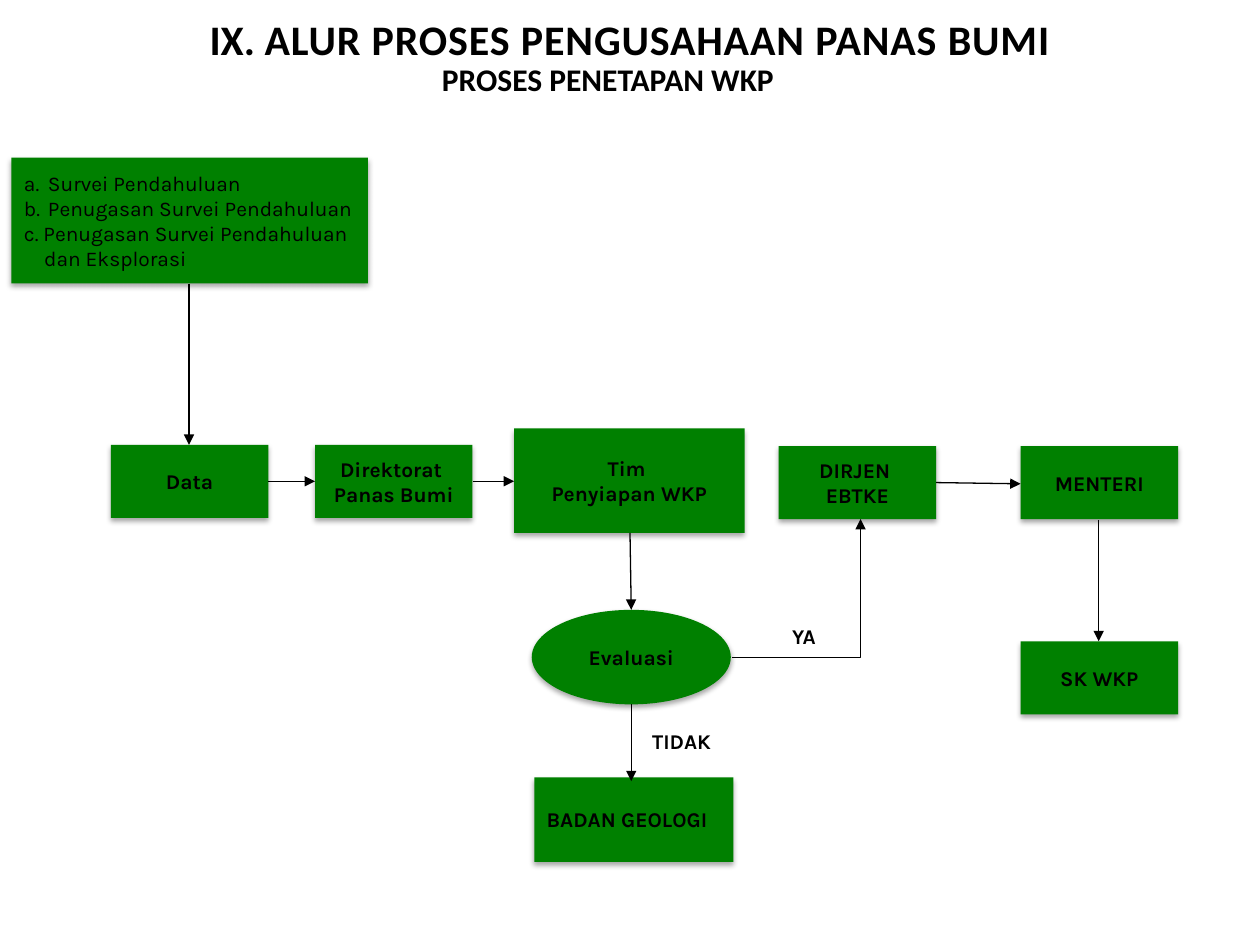
from lxml.etree import SubElement
from pptx import Presentation
from pptx.dml.color import RGBColor
from pptx.enum.shapes import MSO_CONNECTOR, MSO_SHAPE
from pptx.enum.text import MSO_ANCHOR, MSO_AUTO_SIZE, PP_ALIGN
from pptx.oxml.ns import qn
from pptx.util import Inches, Pt


def color(hex_value):
    return RGBColor.from_string(hex_value)


def set_all(target, values):
    for attribute, value in values.items():
        setattr(target, attribute, value)


class FlowSlide:
    GREEN, BLACK = "008000", "000000"
    HEADING = {"name": "Calibri", "bold": True}
    LABEL = {"name": "Karla", "size": Pt(12), "bold": True}
    LIST = {"name": "Karla", "size": Pt(12), "bold": False}
    MARGINS = {"margin_left": Inches(0.1), "margin_right": Inches(0.1),
               "margin_top": Inches(0.05), "margin_bottom": Inches(0.05)}
    SPACING = {"space_before": Pt(0), "space_after": Pt(0), "line_spacing": 1.0}

    def __init__(self, slide):
        self.slide = slide

    def place(self, shape, left, top, width, height):
        set_all(shape, {"left": Inches(left), "top": Inches(top),
                        "width": Inches(width), "height": Inches(height)})

    def fill_text(self, shape, lines, font, align=PP_ALIGN.CENTER,
                  anchor=MSO_ANCHOR.MIDDLE, wrap=True):
        frame = shape.text_frame
        frame.text = "\n".join(lines)
        set_all(frame, {**self.MARGINS, "word_wrap": wrap, "vertical_anchor": anchor,
                        "auto_size": MSO_AUTO_SIZE.NONE})
        for paragraph in frame.paragraphs:
            set_all(paragraph, {**self.SPACING, "alignment": align})
            for run in paragraph.runs:
                set_all(run.font, font)
                run.font.color.rgb = color(self.BLACK)

    def paint(self, shape):
        """Fill green, without outline, over a soft shadow straight below."""
        shape.fill.solid()
        shape.fill.fore_color.rgb = color(self.GREEN)
        shape.line.fill.background()
        shape.shadow.inherit = False
        effects = shape._element.spPr.find(qn("a:effectLst"))
        shadow = SubElement(effects, qn("a:outerShdw"), blurRad=str(Pt(3.1)),
                            dist=str(Pt(1.8)), dir="5400000", rotWithShape="0")
        tint = SubElement(shadow, qn("a:srgbClr"), val=self.BLACK)
        SubElement(tint, qn("a:alpha"), val="35000")

    def title(self, number, text, box):
        heading = self.slide.shapes.title
        font = {**self.HEADING, "size": Pt(24)}
        self.place(heading, *box)
        self.fill_text(heading, [number], font, anchor=MSO_ANCHOR.TOP)
        spaced = heading.text_frame.paragraphs[0].add_run()
        spaced.text = text
        set_all(spaced.font, font)
        spaced.font.color.rgb = color(self.BLACK)
        spaced._r.get_or_add_rPr().set("spc", "50")

    def text(self, lines, box, font=LABEL, **layout):
        label = self.slide.shapes.add_textbox(*map(Inches, box))
        self.fill_text(label, lines, font, **layout)

    def step(self, lines, box, kind=MSO_SHAPE.RECTANGLE, **layout):
        node = self.slide.shapes.add_shape(kind, *map(Inches, box))
        self.paint(node)
        self.fill_text(node, lines, self.LABEL, **layout)

    def sources(self, items, box):
        """Items are (text, left margin, first-line indent, lettered or not)."""
        body = self.slide.placeholders[1]
        self.place(body, *box)
        self.paint(body)
        self.fill_text(body, [item[0] for item in items], self.LIST, PP_ALIGN.LEFT)
        for paragraph, (_, margin, indent, lettered) in zip(body.text_frame.paragraphs, items):
            properties = paragraph._p.get_or_add_pPr()
            properties.set("marL", str(Inches(margin)))
            properties.set("indent", str(Inches(indent)))
            if lettered:
                SubElement(properties, qn("a:buFont"), typeface="+mj-lt")
                SubElement(properties, qn("a:buAutoNum"), type="alphaLcPeriod")
            else:
                SubElement(properties, qn("a:buNone"))

    def arrow(self, start, end, bent=False):
        kind = MSO_CONNECTOR.ELBOW if bent else MSO_CONNECTOR.STRAIGHT
        link = self.slide.shapes.add_connector(kind, *map(Inches, (*start, *end)))
        link.line.color.rgb = color(self.BLACK)
        link.line.width = Pt(0.75)
        properties = link._element.spPr
        if bent:
            properties.find(qn("a:prstGeom")).set("prst", "bentConnector2")
        SubElement(properties.find(qn("a:ln")), qn("a:tailEnd"), type="triangle")
        SubElement(properties, qn("a:effectLst"))


def main():
    deck = Presentation()
    deck.slide_width, deck.slide_height = Inches(10), Inches(7.5)
    flow = FlowSlide(deck.slides.add_slide(deck.slide_layouts[1]))

    flow.title("IX. ", "ALUR PROSES PENGUSAHAAN PANAS BUMI", (0, 0.06, 10, 0.47))
    flow.text(["PROSES PENETAPAN WKP"], (0, 0.43, 9.65, 0.4),
              {**flow.HEADING, "size": Pt(18)}, anchor=MSO_ANCHOR.TOP)
    flow.sources([
        ("Survei Pendahuluan", 0.19, -0.19, True),
        ("Penugasan Survei Pendahuluan", 0.19, -0.19, True),
        ("c. Penugasan Survei Pendahuluan", 0.19, -0.19, False),
        ("dan Eksplorasi", 0.16, 0, False),
    ], (0.09, 1.25, 2.83, 1))

    step_size = (1.25, 0.58)
    for lines, corner in [
        (["Data"], (0.88, 3.53)),
        (["Direktorat ", "Panas Bumi"], (2.5, 3.53)),
        (["DIRJEN ", "EBTKE"], (6.18, 3.54)),
        (["MENTERI"], (8.1, 3.54)),
        (["SK WKP"], (8.1, 5.09)),
    ]:
        flow.step(lines, corner + step_size)
    flow.step(["Tim ", "Penyiapan WKP"], (4.08, 3.4, 1.83, 0.83))
    flow.step(["Evaluasi"], (4.22, 4.84, 1.58, 0.75), MSO_SHAPE.OVAL)
    flow.step(["BADAN GEOLOGI"], (4.24, 6.17, 1.58, 0.67), align=PP_ALIGN.LEFT)

    for start, end in [
        ((1.5, 2.25), (1.5, 3.53)),
        ((2.13, 3.82), (2.5, 3.82)),
        ((3.75, 3.82), (4.08, 3.82)),
        ((5, 4.23), (5.01, 4.84)),
        ((5.01, 5.59), (5.01, 6.2)),
        ((7.43, 3.83), (8.1, 3.84)),
        ((8.72, 4.13), (8.72, 5.09)),
    ]:
        flow.arrow(start, end)
    flow.arrow((5.81, 5.22), (6.83, 4.12), bent=True)

    for answer, corner in [("YA", (6.17, 4.84)), ("TIDAK", (5.2, 5.67))]:
        flow.text([answer], corner + (0.42, 0.42), wrap=False)

    deck.save("out.pptx")


if __name__ == "__main__":
    main()
